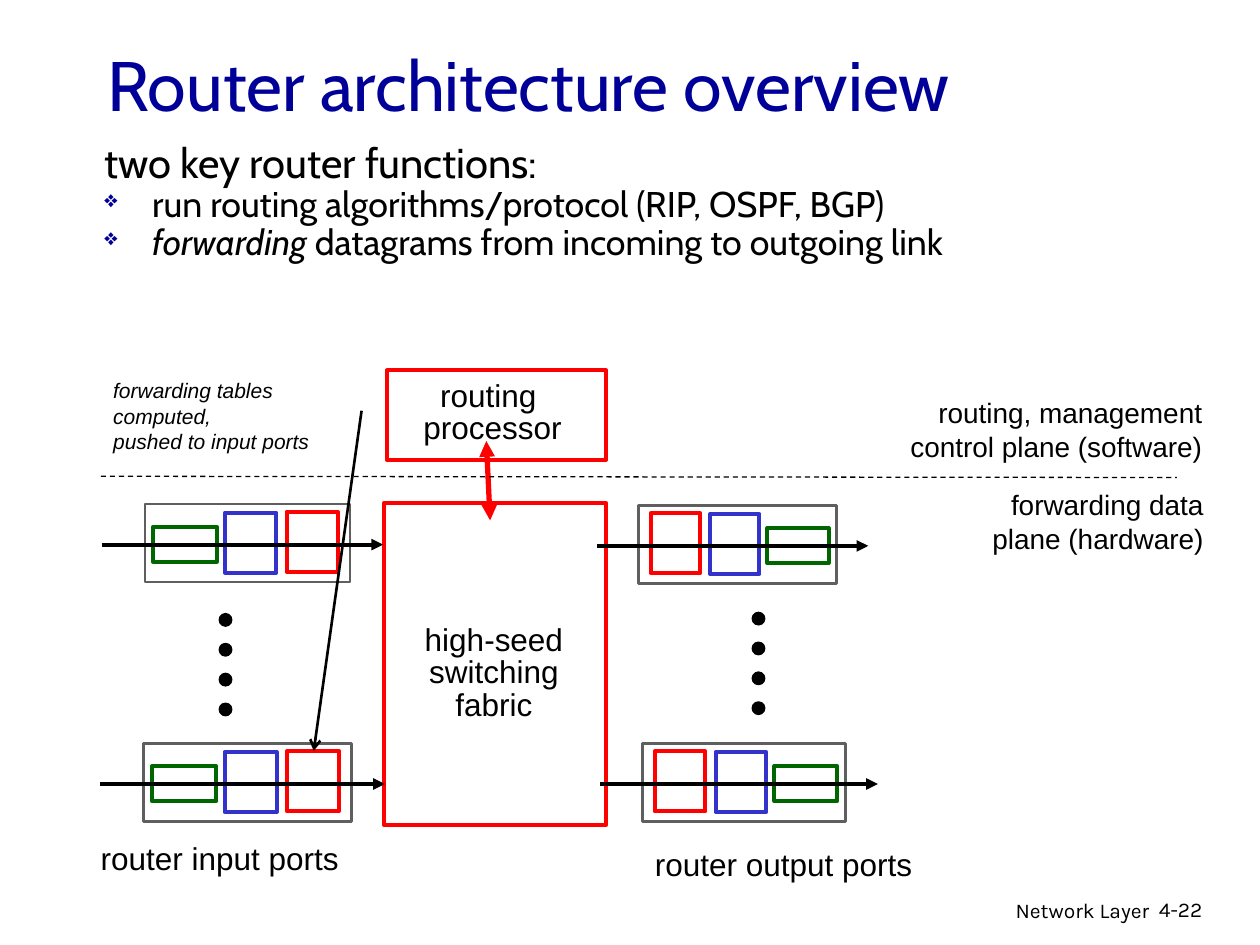
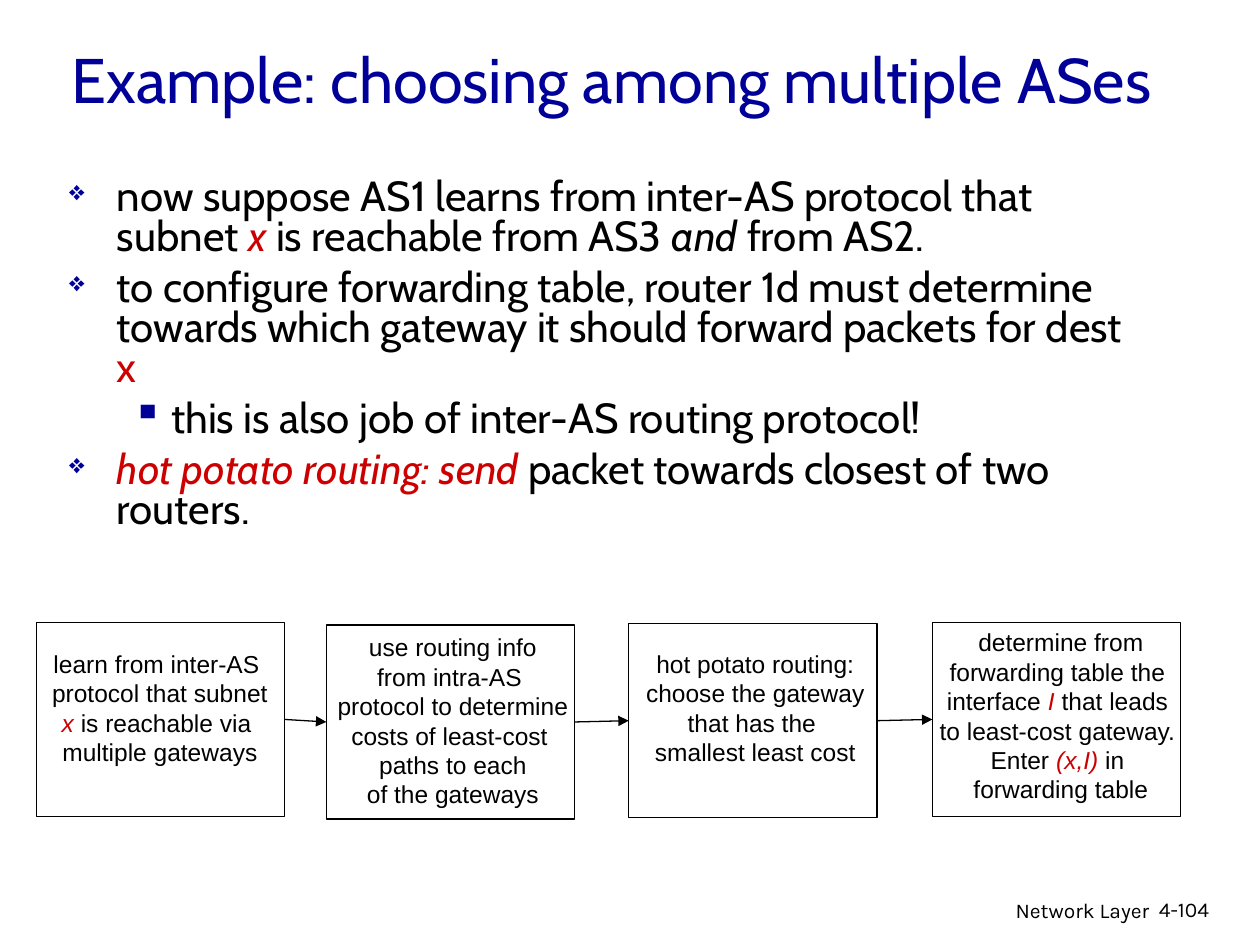
import pptx
import pptx.util
import pptx.dml.color
import pptx.enum.dml
import pptx.enum.shapes
import pptx.enum.text
import pptx.oxml
import pptx.oxml.ns

# Grid: 100 columns by 75 rows of square cells; boxes are (col, row, cols, rows)
COLS, ROWS = 100, 75
CELL = pptx.util.Inches(0.1)

NAVY, BLACK, WHITE = "000099", "000000", "FFFFFF"
RED, BLUE, GREEN, GRAY = "FF0000", "3333CC", "006600", "5F5F5F"
HOT = {"color": "CC0000", "italic": True}
SLANT = {"italic": True}
TITLE = {"name": "Cabin", "color": NAVY}
BODY = {"name": "Cabin", "color": BLACK}
LABEL = {"name": "Arial", "color": BLACK}
FOOT = {"name": "Karla", "color": BLACK, "size": 12}

ALIGN = pptx.enum.text.PP_ALIGN
SHAPE = pptx.enum.shapes.MSO_SHAPE
# Bullet sign, size in percent, left margin and hanging indent in inches
MARKS = {"main": ("❖", 65, 0.38, 0.38), "sub": ("▪", 100, 0.81, 0.31)}


def shade(code):
    return pptx.dml.color.RGBColor.from_string(code)


def cells(*vals):
    return [round(val * CELL) for val in vals]


def shift(box, part):
    """Part given in cells from the corner of the box."""
    return (box[0] + part[0], box[1] + part[1], *part[2:])


def share(box, x, y, w=0, h=0):
    """Part given in shares of the box."""
    return (box[0] + x * box[2], box[1] + y * box[3], w * box[2], h * box[3])


def style(font, form):
    for key, val in form.items():
        if key == "color":
            font.color.rgb = shade(val)
        else:
            setattr(font, key, pptx.util.Pt(val) if key == "size" else val)


def add_xml(parent, tag, **attrs):
    node = pptx.oxml.parse_xml(f"<a:{tag} {pptx.oxml.ns.nsdecls('a')}/>")
    for key, val in attrs.items():
        node.set(key, str(val))
    parent.append(node)
    return node


def mark(para, kind):
    sign, size, left, hang = MARKS[kind]
    props = para._p.get_or_add_pPr()
    props.set("marL", str(pptx.util.Inches(left)))
    props.set("indent", str(-pptx.util.Inches(hang)))
    add_xml(add_xml(props, "buClr"), "srgbClr", val=NAVY)
    add_xml(props, "buSzPct", val=size * 1000)
    add_xml(props, "buChar", char=sign)


def write(frame, paras, form, align=ALIGN.LEFT, space=None, gap=0, marks=()):
    """Each paragraph is a string or a list of strings and (text, format) pairs."""
    for num, runs in enumerate(paras):
        para = frame.paragraphs[0] if num == 0 else frame.add_paragraph()
        if marks and marks[num]:
            mark(para, marks[num])
        look = {"alignment": align, "line_spacing": space,
                "space_before": pptx.util.Pt(gap if num else 0)}
        for key, val in look.items():
            setattr(para, key, val)
        for item in [runs] if isinstance(runs, str) else runs:
            text, extra = (item, {}) if isinstance(item, str) else item
            run = para.add_run()
            run.text = text
            style(run.font, {**form, **extra})


def add_text(slide, box, paras, form, wrap=False, **look):
    frame = slide.shapes.add_textbox(*cells(*box)).text_frame
    frame.word_wrap = wrap
    write(frame, paras, form, **look)


def add_form(slide, box, edge, width, fill=None, kind=SHAPE.RECTANGLE):
    form = slide.shapes.add_shape(kind, *cells(*box))
    form.shadow.inherit = False
    if fill:
        form.fill.solid()
        form.fill.fore_color.rgb = shade(fill)
    else:
        form.fill.background()
    form.line.color.rgb = shade(edge)
    form.line.width = pptx.util.Pt(width)
    return form


def add_line(slide, start, end, color=BLACK, width=0.75, head=None, tail=None,
             dash=None):
    line = slide.shapes.add_connector(
        pptx.enum.shapes.MSO_CONNECTOR.STRAIGHT, *cells(*start[:2], *end[:2]))
    line.line.color.rgb = shade(color)
    line.line.width = pptx.util.Pt(width)
    if dash:
        line.line.dash_style = dash
    for tag, kind in (("headEnd", head), ("tailEnd", tail)):
        if kind:
            add_xml(line.line._get_or_add_ln(), tag, type=kind)
    add_xml(line._element.spPr, "effectLst")
    return line


def add_page(deck, title, box, size, page):
    """Slide with its title and footer."""
    slide = deck.slides.add_slide(deck.slide_layouts[5])
    head = slide.shapes.title
    for key, val in zip(("left", "top", "width", "height"), cells(*box)):
        setattr(head, key, val)
    frame = head.text_frame
    look = {"word_wrap": True, "auto_size": pptx.enum.text.MSO_AUTO_SIZE.NONE,
            "vertical_anchor": pptx.enum.text.MSO_ANCHOR.MIDDLE}
    for key, val in look.items():
        setattr(frame, key, val)
    write(frame, [title], {**TITLE, "size": size})
    add_text(slide, (60.5, 70.7, 31.7, 3.1), ["Network Layer"], FOOT, True,
             align=ALIGN.RIGHT)
    add_text(slide, (91, 70.7, 7.4, 3), [page], FOOT, True)
    return slide


def add_port(slide, box, out):
    """Line card with three stages; output cards run the other way."""
    add_form(slide, box, GRAY, 1.5, WHITE)
    stages = ((GREEN, 0.04, 0.29, 0.31, 0.45), (BLUE, 0.39, 0.11, 0.25, 0.77),
              (RED, 0.69, 0.1, 0.25, 0.77))
    for color, x, y, w, h in stages:
        left = 1 - x - w if out else x
        add_form(slide, share(box, left, y, w, h), color, 2.25, WHITE)
    add_line(slide, share(box, -0.21, 0.52), share(box, 1.16, 0.52),
             width=2.25, tail="triangle")


def add_dots(slide, box):
    for num in range(4):
        dot = shift(box, (0, num * 2.37, 1, 1))
        add_form(slide, dot, BLACK, 0.75, BLACK, SHAPE.OVAL)


def add_router(slide, box):
    """Router diagram: processor, fabric, ports and the two planes."""
    def put(*part):
        return shift(box, part)

    # Fabric and processor
    units = (
        (put(22.5, 10.9, 17.6, 25.6), put(24.4, 20.2, 13.6, 8.7),
         ["high-seed ", "switching", "fabric"]),
        (put(22.7, 0.4, 17.4, 7.1), put(24.6, 0.8, 13, 6.1),
         ["routing ", "processor"]))
    for unit, label, words in units:
        add_form(slide, unit, RED, 2.25, WHITE)
        add_text(slide, label, words, {**LABEL, "size": 18},
                 align=ALIGN.CENTER, space=0.85)
    add_line(slide, put(30.6, 6), put(30.9, 12.3), RED, 3, "triangle", "triangle")

    # Input and output ports
    ports = ((put(3.5, 11, 16.3, 6.2), False), (put(3.4, 30, 16.5, 6.2), False),
             (put(42.7, 11.1, 15.7, 6.2), True), (put(43, 30, 16.1, 6.2), True))
    for port, out in ports:
        add_port(slide, port, out)
    for spot in (put(9.4, 19.7), put(51.7, 19.6)):
        add_dots(slide, spot)
    for spot, words in ((put(-1, 37.1, 20.9, 4), "router input ports"),
                        (put(43, 37.6, 22.4, 4), "router output ports")):
        add_text(slide, spot, [words], {**LABEL, "size": 18})

    # Control plane above the dashed line, data plane below
    add_line(slide, put(0, 8.8), put(85.4, 8.9),
             dash=pptx.enum.dml.MSO_LINE.DASH)
    planes = ((put(67.3, 9.2, 21.2, 6.4), ["forwarding data plane (hardware)"]),
              (put(61.6, 1.9, 26.8, 6.4),
               ["routing, management", "control plane (software)"]))
    for spot, words in planes:
        add_text(slide, spot, words, {**LABEL, "size": 16}, True,
                 align=ALIGN.RIGHT)

    # Forwarding tables pushed down
    add_line(slide, put(20.7, 3.6), put(16.9, 30.6), width=1.5, tail="arrow")
    add_text(slide, put(0, 0.5, 22.9, 5),
             ["forwarding tables computed,", "pushed to input ports"],
             {**LABEL, **SLANT, "size": 12})


def add_chain(slide, box):
    """Four steps joined by arrows: left, top, text box and lines of each."""
    steps = (
        (0, 0, (0, 1.6, 19.6, 10.4),
         ["learn from inter-AS ", "protocol that subnet ",
          [("x ", HOT), "is reachable via "], "multiple gateways"]),
        (23, 0.2, (21.5, 0.3, 23.1, 15),
         ["use routing info", "from intra-AS ", "protocol to determine",
          "costs of least-cost ", "paths to each", "of the gateways"]),
        (47, 0.1, (47.2, 1.6, 19.7, 10.4),
         ["hot potato routing:", "choose the gateway", "that has the ",
          "smallest least cost"]),
        (71.1, 0, (70.6, -0.1, 21.4, 15),
         ["determine from", "forwarding table the ",
          ["interface", (" I ", HOT), "that leads "],
          "to least-cost gateway. ", ["Enter ", ("(x,I) ", HOT), "in "],
          "forwarding table"]))
    last = None
    for left, top, label, words in steps:
        step = add_form(slide, shift(box, (left, top, 19.7, 15.4)), BLACK, 0.75)
        add_text(slide, shift(box, label), words, {**LABEL, "size": 14},
                 align=ALIGN.CENTER)
        if last:
            link = add_line(slide, box, box, tail="triangle")
            link.begin_connect(last, 3)
            link.end_connect(step, 1)
        last = step


def main():
    deck = pptx.Presentation()
    deck.slide_width, deck.slide_height = COLS * CELL, ROWS * CELL

    # Router overview
    slide = add_page(deck, "Router architecture overview",
                     (7.5, 3.3, 85, 6.7), 40, "4-22")
    add_text(slide, (7.3, 11.6, 88.9, 10), [
        [("two key router functions:", {"size": 23.8})],
        "run routing algorithms/protocol (RIP, OSPF, BGP)",
        [("forwarding ", SLANT), "datagrams from incoming to outgoing link"],
    ], {**BODY, "size": 20.4}, True, space=0.65, gap=6,
        marks=(None, "main", "main"))
    add_router(slide, (8, 29, 90, 42))

    # Choosing among several ASes
    slide = add_page(deck, "Example: choosing among multiple ASes",
                     (4.7, 0, 95.9, 12.5), 36, "4-104")
    add_text(slide, (4.5, 13.7, 87.4, 30.1), [
        ["now suppose AS1 learns from inter-AS protocol that subnet ",
         ("x ", HOT), "is reachable from AS3 ", ("and", SLANT), " from AS2."],
        ["to configure forwarding table, router 1d must determine towards "
         "which gateway it should forward packets for dest ",
         ("x", {"color": HOT["color"]})],
        "this is also job of inter-AS routing protocol!",
        [("hot potato routing: send", HOT),
         " packet towards closest of two routers."],
    ], {**BODY, "size": 24}, True, space=0.8, gap=6,
        marks=("main", "main", "sub", "main"))
    add_chain(slide, (2.9, 49.4, 91, 15.6))

    deck.save("out.pptx")


if __name__ == "__main__":
    main()
